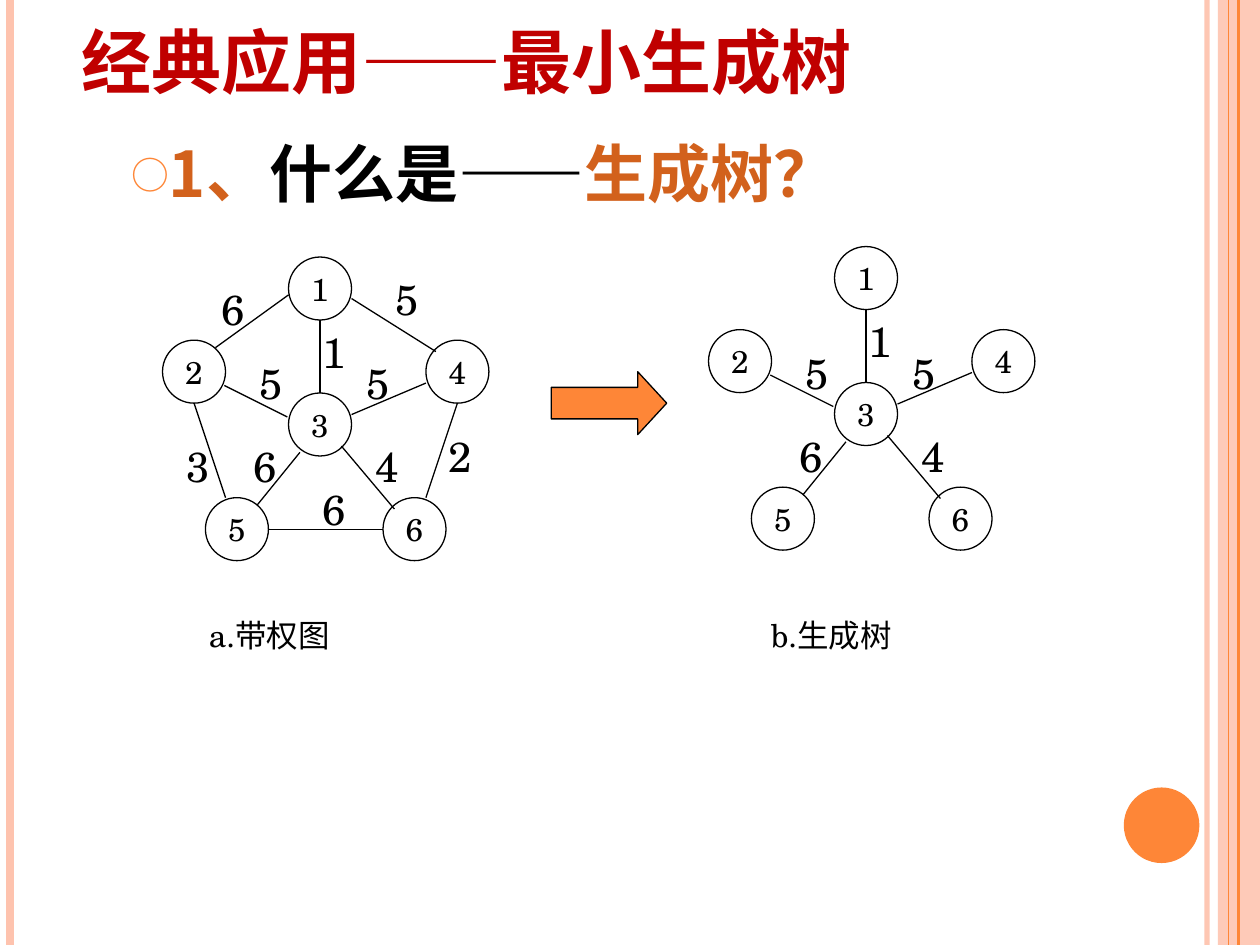
import pptx
import pptx.util
import pptx.dml.color
import pptx.oxml
import pptx.oxml.ns
from pptx.enum.shapes import MSO_CONNECTOR, MSO_SHAPE
from pptx.enum.text import MSO_ANCHOR, MSO_AUTO_SIZE, PP_ALIGN

Pt = pptx.util.Pt
SERIF, SANS, HAN = "TeX Gyre Schola", "Arial", "Noto Sans CJK SC"
BLACK, RED, RUST, ORANGE, PINK = "000000", "C00000", "D2611C", "FE8637", "FEC3AE"

# Content: runs are (text, font, colour)
TITLE = [("经典应用", SERIF, RED), ("——", SANS, RED), ("最小生成树", SERIF, RED)]
TOPIC = [("1、", HAN, RUST), ("什么是", HAN, BLACK),
         ("——", SANS, BLACK), ("生成树？", HAN, RUST)]

# Left and top of each node
NODES = {"5": (117.4, 284.4), "6": (218.9, 284.4), "4": (243.4, 194.4),
         "2": (92.9, 194.4), "3": (164.9, 224.6), "1": (164.9, 146.9)}
SIZE = 36

# Edges: name, weight, line ends, left and top of the weight
EDGES = [
    ("1-2", "6", (123.1, 198.7, 164.9, 168.5), (119.5, 158.4)),
    ("3-5", "6", (146.9, 288.7, 171.4, 258.5), (137.5, 248.4)),
    ("3-4", "5", (200.9, 236.9, 243.4, 218.9), (202.3, 200.9)),
    ("2-3", "5", (128.2, 220.3, 164.2, 238.3), (141.1, 200.9)),
    ("1-4", "5", (200.9, 170.6, 249.1, 200.9), (218.9, 152.6)),
    ("4-6", "2", (243.4, 284.4, 261.4, 230.4), (249.1, 242.6)),
    ("2-5", "3", (128.9, 284.4, 110.9, 230.4), (99.4, 248.4)),
    ("5-6", "6", (153.4, 302.4, 218.9, 302.4), (177.1, 272.9)),
    ("1-3", "1", (182.9, 224.6, 182.9, 182.9), (177.1, 182.9)),
    ("3-6", "4", (195.1, 254.9, 225.4, 290.9), (207.4, 248.4)),
]
TREE = {"1-3", "2-3", "3-4", "3-5", "3-6"}

# Graphs: shift right and down, edges kept, caption, caption left
GRAPHS = [(0, 0, {edge[0] for edge in EDGES}, "a.带权图", 112.3),
          (312, -6, TREE, "b.生成树", 433.4)]

# Frame lines: x, colour, width, opacity in percent
RULES = [(689.8, PINK, 3, 93), (5.8, PINK, 4.5, 100),
         (707.8, ORANGE, 1.5, 100), (702, ORANGE, 0.75, 100)]


def tint(fmt, code, alpha=100):
    fmt.rgb = pptx.dml.color.RGBColor.from_string(code)
    if alpha < 100:
        node = fmt._xFill.find(".//" + pptx.oxml.ns.qn("a:srgbClr"))
        add_tag(node, f'alpha val="{alpha * 1000}"')


def add_tag(node, tag):
    node.append(pptx.oxml.parse_xml(f"<a:{tag} {pptx.oxml.ns.nsdecls('a')}/>"))


def write(para, runs, size, bold=False):
    for text, face, code in runs:
        run = para.add_run()
        run.text = text
        run.font.size, run.font.bold, run.font.name = Pt(size), bold, face
        tint(run.font.color, code)
        add_tag(run._r.get_or_add_rPr(), f'ea typeface="{HAN}"')


def place(shape, left, top, width, height):
    shape.left, shape.top = Pt(left), Pt(top)
    shape.width, shape.height = Pt(width), Pt(height)


def head(shape, box, runs, size, anchor):
    place(shape, *box)
    frame = shape.text_frame
    frame.word_wrap, frame.auto_size = True, MSO_AUTO_SIZE.NONE
    frame.vertical_anchor = anchor
    para = frame.paragraphs[0]
    para.alignment, para.space_before = PP_ALIGN.LEFT, Pt(0)
    write(para, runs, size, True)
    return para


def draw_line(slide, ends, code=BLACK, width=0.75, alpha=100):
    line = slide.shapes.add_connector(MSO_CONNECTOR.STRAIGHT, *map(Pt, ends))
    line.line.width = Pt(width)
    line.line.fill.solid()
    tint(line.line.fill.fore_color, code, alpha)
    add_tag(line._element.spPr, "effectLst")


def draw_shape(slide, kind, box, fill=None, edge=None, alpha=100):
    shape = slide.shapes.add_shape(kind, *map(Pt, box))
    shape.shadow.inherit = False
    if fill:
        shape.fill.solid()
        tint(shape.fill.fore_color, fill, alpha)
    else:
        shape.fill.background()
    if edge:
        shape.line.width = Pt(0.75)
        tint(shape.line.color, edge)
    else:
        shape.line.fill.background()
    return shape


def draw_text(slide, box, text, size):
    frame = slide.shapes.add_textbox(*map(Pt, box)).text_frame
    frame.word_wrap = True
    write(frame.paragraphs[0], [(text, SERIF, BLACK)], size)


def draw_graph(slide, right, down, keep, title, left):
    for name, weight, (x1, y1, x2, y2), (x, y) in EDGES:
        if name in keep:
            draw_line(slide, (x1 + right, y1 + down, x2 + right, y2 + down))
            draw_text(slide, (x + right, y + down, 24, 36), weight, 24)
    for name, (x, y) in NODES.items():
        node = draw_shape(slide, MSO_SHAPE.OVAL,
                          (x + right, y + down, SIZE, SIZE), edge=BLACK)
        frame = node.text_frame
        frame.word_wrap, frame.vertical_anchor = False, MSO_ANCHOR.MIDDLE
        frame.paragraphs[0].alignment = PP_ALIGN.CENTER
        write(frame.paragraphs[0], [(name, SERIF, BLACK)], 18)
    draw_text(slide, (left, 348.5, 138, 29), title, 18)


def main():
    deck = pptx.Presentation()
    deck.slide_width, deck.slide_height = Pt(720), Pt(540)
    slide = deck.slides.add_slide(deck.slide_layouts[1])

    # Frame
    draw_shape(slide, MSO_SHAPE.RECTANGLE, (696, 0, 24, 540), PINK, alpha=87)
    for x, code, width, alpha in RULES:
        draw_line(slide, (x, 0, x, 540), code, width, alpha)
    draw_shape(slide, MSO_SHAPE.OVAL, (642.2, 450, 43.2, 43.2), ORANGE)

    # Title and topic
    head(slide.shapes.title, (39.6, -28, 588, 90), TITLE, 40, MSO_ANCHOR.BOTTOM)
    para = head(slide.placeholders[1], (67.7, 73.4, 468, 60), TOPIC, 36,
                MSO_ANCHOR.TOP)
    props = para._p.get_or_add_pPr()
    props.set("marL", str(Pt(21.6)))
    props.set("indent", str(Pt(-21.6)))
    props.append(pptx.oxml.parse_xml(
        f'<a:buClr {pptx.oxml.ns.nsdecls("a")}><a:srgbClr val="{ORANGE}"/></a:buClr>'))
    for tag in ('buSzPct val="60000"', f'buFont typeface="{HAN}"', 'buChar char="○"'):
        add_tag(props, tag)

    # Graphs and the arrow between them
    for graph in GRAPHS:
        draw_graph(slide, *graph)
    arrow = draw_shape(slide, MSO_SHAPE.RIGHT_ARROW, (315, 212.4, 66, 36),
                       ORANGE, BLACK)
    arrow.adjustments[0], arrow.adjustments[1] = 0.5, 0.46

    deck.save("out.pptx")


if __name__ == "__main__":
    main()
